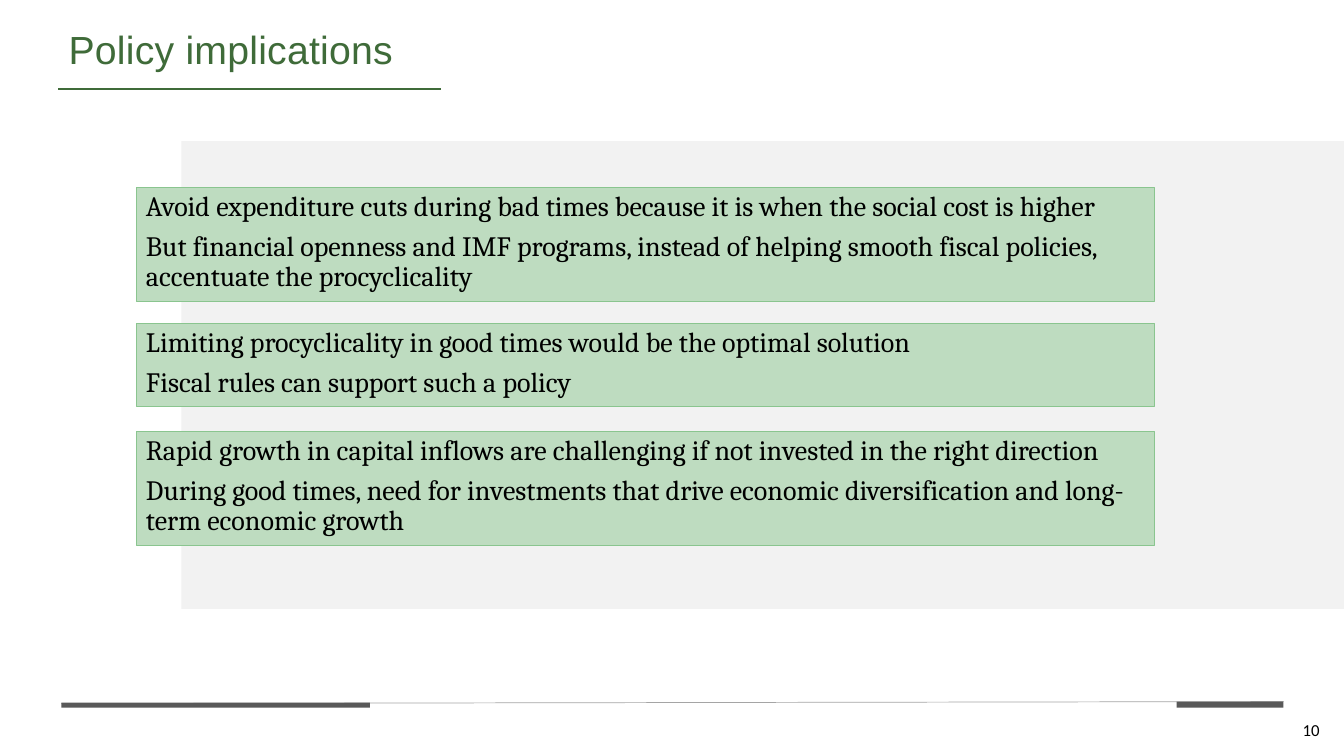
"""Build the policy implications slide."""
from dataclasses import dataclass
from typing import Any

import lxml.etree
import pptx
import pptx.dml.color
import pptx.enum.shapes
import pptx.enum.text
import pptx.oxml.ns
import pptx.util

Inches = pptx.util.Inches
Pt = pptx.util.Pt
RGBColor = pptx.dml.color.RGBColor


@dataclass(frozen=True)
class Theme:
    """Colours, fonts and type sizes of the slide."""
    green: str = "3F6B39"
    box_fill: str = "BEDCC0"
    box_line: str = "8AC58F"
    panel: str = "F2F2F2"
    bar: str = "595959"
    rule: str = "A5A5A5"
    ink: str = "000000"
    title_font: str = "Arial"
    body_font: str = "Cambria"
    number_font: str = "Calibri"
    title_size: int = 28
    body_size: int = 20
    number_size: int = 12


@dataclass(frozen=True)
class Box:
    """Position and size in inches."""
    left: float
    top: float
    width: float
    height: float

    def lengths(self) -> tuple:
        """Return the four lengths for a shape call."""
        return tuple(map(Inches, (self.left, self.top, self.width, self.height)))


@dataclass(frozen=True)
class Rule:
    """A straight line in inches with its colour and weight."""
    start: tuple[float, float]
    end: tuple[float, float]
    color: str
    weight: float


@dataclass(frozen=True)
class Bar:
    """A filled rectangle, outlined when a line colour is given."""
    box: Box
    fill: str
    line: str = ""


@dataclass(frozen=True)
class Message:
    """A group of policy statements in one box."""
    top: float
    height: float
    statements: tuple[str, ...]


THEME = Theme()
FOOTER_RULE = Rule((0.61, 6.98), (12.73, 6.96), THEME.rule, 0.5)
TITLE_RULE = Rule((0.58, 0.88), (4.37, 0.88), THEME.green, 1.5)
BARS = (
    Bar(Box(0.61, 6.97, 3.06, 0.05), THEME.bar),
    Bar(Box(11.67, 6.96, 1.06, 0.06), THEME.bar),
    Bar(Box(1.8, 1.4, 11.53, 4.64), THEME.panel),
)
MESSAGES = (
    Message(1.86, 1.13, (
        "Avoid expenditure cuts during bad times because it is when the social cost is higher",
        "But financial openness and IMF programs, instead of helping smooth fiscal policies, "
        "accentuate the procyclicality",
    )),
    Message(3.21, 0.82, (
        "Limiting procyclicality in good times would be the optimal solution",
        "Fiscal rules can support such a policy",
    )),
    Message(4.28, 1.13, (
        "Rapid growth in capital inflows are challenging if not invested in the right direction",
        "During good times, need for investments that drive economic diversification and "
        "long-term economic growth",
    )),
)


def apply_format(target: Any, values: dict[str, Any]) -> None:
    """Set each named attribute on the target."""
    for name, value in values.items():
        setattr(target, name, value)


def draw_rule(slide: Any, rule: Rule) -> None:
    """Draw a straight line without shadow."""
    connector = slide.shapes.add_connector(
        pptx.enum.shapes.MSO_CONNECTOR.STRAIGHT,
        *map(Inches, rule.start + rule.end))
    connector.line.color.rgb = RGBColor.from_string(rule.color)
    connector.line.width = Pt(rule.weight)
    lxml.etree.SubElement(connector._element.spPr, pptx.oxml.ns.qn("a:effectLst"))


def draw_bar(slide: Any, bar: Bar) -> Any:
    """Draw a rectangle and return it."""
    shape = slide.shapes.add_shape(
        pptx.enum.shapes.MSO_SHAPE.RECTANGLE, *bar.box.lengths())
    shape.shadow.inherit = False
    shape.fill.solid()
    shape.fill.fore_color.rgb = RGBColor.from_string(bar.fill)
    if bar.line:
        shape.line.color.rgb = RGBColor.from_string(bar.line)
        shape.line.width = Pt(0.75)
    else:
        shape.line.fill.background()
    return shape


def write_text(shape: Any, texts: tuple[str, ...], font: str, size: int, color: str,
               frame_format: dict[str, Any], paragraph_format: dict[str, Any]) -> None:
    """Fill a shape with one left-aligned paragraph per text."""
    frame = shape.text_frame
    apply_format(frame, {"vertical_anchor": pptx.enum.text.MSO_ANCHOR.TOP} | frame_format)
    frame.text = "\n".join(texts)
    for paragraph in frame.paragraphs:
        apply_format(paragraph, {"alignment": pptx.enum.text.PP_ALIGN.LEFT} | paragraph_format)
        for run in paragraph.runs:
            apply_format(run.font, {"name": font, "size": Pt(size)})
            run.font.color.rgb = RGBColor.from_string(color)


def draw_message(slide: Any, message: Message) -> None:
    """Draw one green box with its statements."""
    box = Box(1.35, message.top, 10.1, message.height)
    shape = draw_bar(slide, Bar(box, THEME.box_fill, THEME.box_line))
    write_text(shape, message.statements, THEME.body_font, THEME.body_size, THEME.ink,
               {"word_wrap": True},
               {"line_spacing": 0.9, "space_after": Pt(0.35 * THEME.body_size)})


def main() -> None:
    """Build and save the presentation."""
    presentation = pptx.Presentation()
    apply_format(presentation, {"slide_width": Inches(13.33), "slide_height": Inches(7.5)})
    slide = presentation.slides.add_slide(presentation.slide_layouts[6])
    no_margins = dict.fromkeys(
        ("margin_left", "margin_top", "margin_right", "margin_bottom"), 0)

    draw_rule(slide, FOOTER_RULE)
    for bar in BARS:
        draw_bar(slide, bar)

    title = slide.shapes.add_textbox(*Box(0.68, 0.24, 8.69, 0.96).lengths())
    write_text(title, ("Policy implications",), THEME.title_font, THEME.title_size, THEME.green,
               no_margins | {"margin_top": Inches(0.01), "word_wrap": True},
               {"space_before": Pt(1)})
    title.text_frame.paragraphs[0].runs[0]._r.get_or_add_rPr().set("spc", "20")
    draw_rule(slide, TITLE_RULE)

    number = slide.shapes.add_textbox(*Box(12.92, 7.14, 0.32, 0.29).lengths())
    write_text(number, ("10",), THEME.number_font, THEME.number_size, THEME.ink,
               no_margins | {"word_wrap": False},
               {"space_before": Pt(3), "space_after": Pt(3)})

    for message in MESSAGES:
        draw_message(slide, message)
    presentation.save("out.pptx")


if __name__ == "__main__":
    main()
